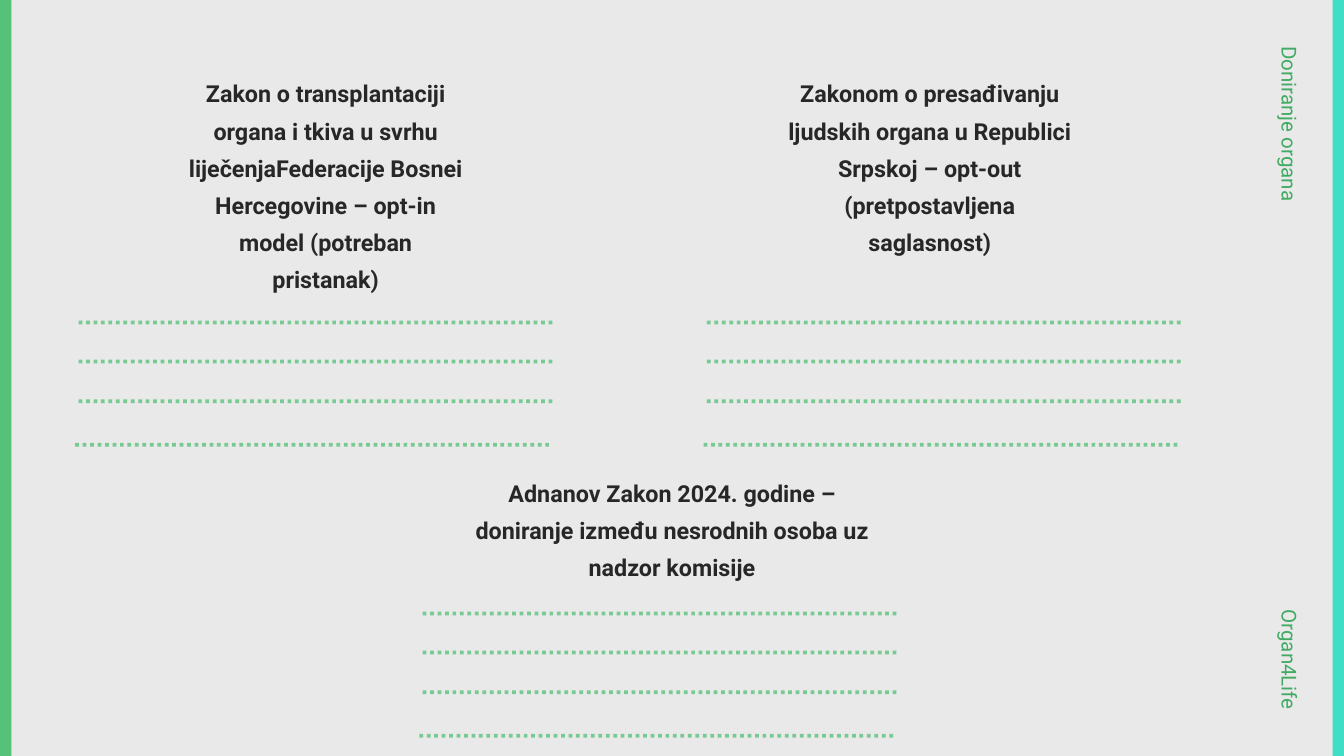
"""Build the slide comparing organ donation laws, with dotted lines for notes."""
from lxml.etree import SubElement
from pptx import Presentation
from pptx.dml.color import RGBColor
from pptx.enum.dml import MSO_LINE
from pptx.enum.shapes import MSO_CONNECTOR, MSO_SHAPE
from pptx.enum.text import MSO_AUTO_SIZE, PP_ALIGN
from pptx.oxml.ns import qn
from pptx.util import Emu, Pt

PX = 9144
GREEN = "55C278"
LAW = {"size": Pt(25), "bold": True, "name": "Roboto"}
SIDE = {"size": Pt(22), "bold": False, "name": "Roboto"}


def color(value):
    return RGBColor.from_string(value)


def add_text(slide, text, box, font_format, hue, alignment, spacing):
    shape = slide.shapes.add_textbox(*[Emu(length * PX) for length in box])
    frame = shape.text_frame
    frame.word_wrap = True
    frame.auto_size = MSO_AUTO_SIZE.SHAPE_TO_FIT_TEXT
    for side in ("left", "top", "right", "bottom"):
        setattr(frame, f"margin_{side}", 0)
    paragraph = frame.paragraphs[0]
    paragraph.alignment = alignment
    paragraph.line_spacing = Pt(spacing)
    run = paragraph.add_run()
    run.text = text
    for name, value in font_format.items():
        setattr(run.font, name, value)
    run.font.color.rgb = color(hue)
    return shape


presentation = Presentation()
presentation.slide_width = Emu(2000 * PX)
presentation.slide_height = Emu(1125 * PX)
slide = presentation.slides.add_slide(presentation.slide_layouts[6])
slide.background.fill.solid()
slide.background.fill.fore_color.rgb = color("E9E9E9")

for left, hue in ((1983, "40DDC7"), (-32, GREEN)):
    box = [Emu(length * PX) for length in (left, -19, 49, 1164)]
    bar = slide.shapes.add_shape(MSO_SHAPE.RECTANGLE, *box)
    bar.shadow.inherit = False
    bar.fill.solid()
    bar.fill.fore_color.rgb = color(hue)
    bar.line.fill.background()

laws = [
    ("Zakon o transplantaciji organa i tkiva u svrhu liječenjaFederacije Bosnei "
     "Hercegovine – opt-in model (potreban pristanak)", (274, 105, 421, 319), 117, 480),
    ("Zakonom o presađivanju ljudskih organa u Republici Srpskoj – opt-out "
     "(pretpostavljena saglasnost)", (1173, 105, 421, 319), 1052, 480),
    ("Adnanov Zakon 2024. godine – doniranje između nesrodnih osoba uz nadzor komisije",
     (705, 700, 590, 157), 629, 913),
]
for text, box, line_left, line_top in laws:
    add_text(slide, text, box, LAW, "272727", PP_ALIGN.CENTER, 39.7)
    for shift, drop in ((0, 0), (0, 58), (0, 117), (-5, 182)):
        left, top = line_left + shift, line_top + drop
        ends = [Emu(length * PX) for length in (left, top, left + 710, top)]
        line = slide.shapes.add_connector(MSO_CONNECTOR.STRAIGHT, *ends)
        line.line.width = Pt(4)
        line.line.color.rgb = color(GREEN)
        line.line.dash_style = MSO_LINE.ROUND_DOT
        fill_color = line.line._ln.find(f"{qn('a:solidFill')}/{qn('a:srgbClr')}")
        SubElement(fill_color, qn("a:alpha")).set("val", "76000")
        SubElement(line._element.spPr, qn("a:effectLst"))

for text, top, alignment in (
    ("Doniranje organa", 185, PP_ALIGN.LEFT),
    ("Organ4Life", 898, PP_ALIGN.RIGHT),
):
    label = add_text(slide, text, (1786, top, 274, 42), SIDE, "41AB63", alignment, 30.8)
    label.rotation = 90

presentation.save("out.pptx")
